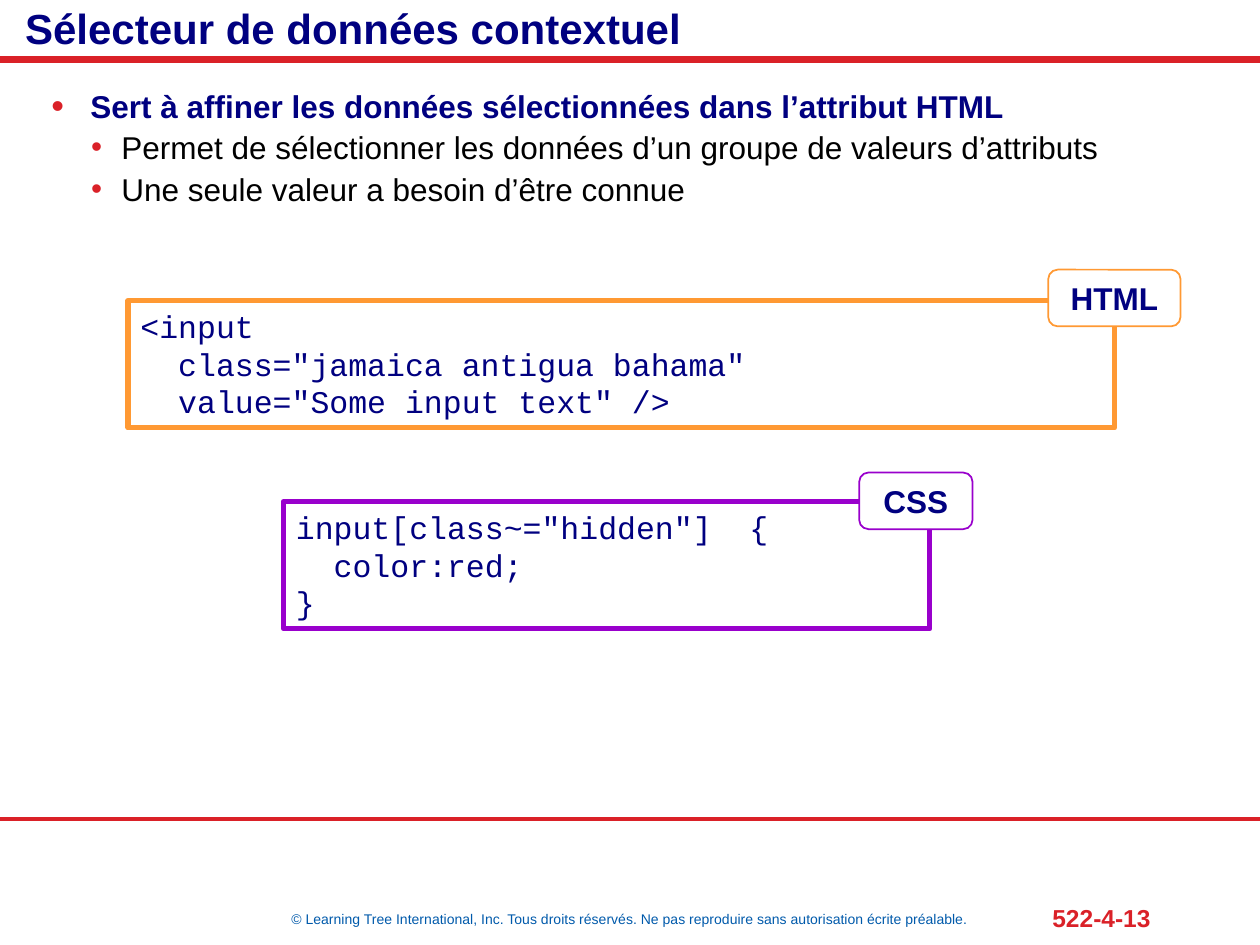
"""Build the slide about the contextual data selector."""
from lxml import etree
from pptx import Presentation
from pptx import util as u
from pptx.dml.color import RGBColor
from pptx.enum import shapes, text
from pptx.oxml import ns

RED = RGBColor(0xDA, 0x21, 0x28)
NAVY = RGBColor(0x00, 0x00, 0x80)
BLUE = RGBColor(0x00, 0x5A, 0xAB)
BLACK = RGBColor(0x00, 0x00, 0x00)
WHITE = RGBColor(0xFF, 0xFF, 0xFF)
PURPLE = RGBColor(0x99, 0x00, 0xCC)
ORANGE = RGBColor(0xFF, 0x99, 0x33)

Pt = u.Pt
LEFT, CENTER, RIGHT = text.PP_ALIGN.LEFT, text.PP_ALIGN.CENTER, text.PP_ALIGN.RIGHT
TOP, MIDDLE = text.MSO_ANCHOR.TOP, text.MSO_ANCHOR.MIDDLE

presentation = Presentation()
presentation.slide_width = Pt(720)
presentation.slide_height = Pt(540)
slide = presentation.slides.add_slide(presentation.slide_layouts[6])


def write(shape, content, size, color, bold=False, font="Arial", align=LEFT, anchor=TOP):
    frame = shape.text_frame
    frame.text = content
    frame.word_wrap = True
    frame.vertical_anchor = anchor
    for paragraph in frame.paragraphs:
        paragraph.alignment = align
        for run in paragraph.runs:
            run.font.name = font
            run.font.size = Pt(size)
            run.font.bold = bold
            run.font.color.rgb = color
    return frame


def add_box(kind, left, top, width, height, color, weight):
    shape = slide.shapes.add_shape(kind, Pt(left), Pt(top), Pt(width), Pt(height))
    shape.shadow.inherit = False
    shape.fill.solid()
    shape.fill.fore_color.rgb = WHITE
    shape.line.color.rgb = color
    shape.line.width = Pt(weight)
    return shape


for y, weight in ((33.84, 4), (468, 2)):
    rule = slide.shapes.add_connector(shapes.MSO_CONNECTOR.STRAIGHT, 0, Pt(y), Pt(720), Pt(y))
    rule.line.color.rgb = RED
    rule.line.width = Pt(weight)
    etree.SubElement(rule._element.spPr, ns.qn("a:effectLst"))

page_number = slide.shapes.add_textbox(Pt(565.2), Pt(512), Pt(99.4), Pt(24.5))
write(page_number, "522-4-13", 14, RED, True, align=RIGHT, anchor=MIDDLE).margin_left = 0

copyright_line = slide.shapes.add_textbox(0, Pt(517), Pt(720), Pt(16.6))
write(
    copyright_line,
    "© Learning Tree International, Inc. Tous droits réservés. "
    "Ne pas reproduire sans autorisation écrite préalable.",
    8, BLUE, align=CENTER,
)

title = slide.shapes.add_textbox(0, 0, Pt(720), Pt(31.7))
title_frame = write(title, "Sélecteur de données contextuel", 24, NAVY, True, anchor=MIDDLE)
title_frame.margin_left = Pt(14.4)
title_frame.margin_top = title_frame.margin_bottom = 0

body = slide.shapes.add_textbox(Pt(22.3), Pt(46.1), Pt(676.8), Pt(339))
points = [
    "Sert à affiner les données sélectionnées dans l’attribut HTML",
    "Permet de sélectionner les données d’un groupe de valeurs d’attributs",
    "Une seule valeur a besoin d’être connue",
]
body_frame = write(body, "\n".join(points), 18, BLACK)
for index, paragraph in enumerate(body_frame.paragraphs):
    margin, indent, scale = (40, -17.3, 100) if index else (22.3, -22.3, 115)
    properties = paragraph._p.get_or_add_pPr()
    properties.set("marL", str(Pt(margin)))
    properties.set("indent", str(Pt(indent)))
    bullet_color = etree.SubElement(properties, ns.qn("a:buClr"))
    etree.SubElement(bullet_color, ns.qn("a:srgbClr"), val=str(RED))
    etree.SubElement(properties, ns.qn("a:buSzPct"), val=str(scale * 1000))
    etree.SubElement(properties, ns.qn("a:buFont"), typeface="Arial")
    etree.SubElement(properties, ns.qn("a:buChar"), char="•")
    if index:
        paragraph.level = 1
        paragraph.space_before = Pt(2)
    else:
        paragraph.runs[0].font.bold = True
        paragraph.runs[0].font.color.rgb = NAVY

css_code = 'input[class~="hidden"]  {\n  color:red;\n}'
html_code = '<input\n  class="jamaica antigua bahama"\n  value="Some input text" />'
examples = [
    ("CSS", css_code, PURPLE, (162, 286.6, 369.4), (491, 270, 64.8)),
    ("HTML", html_code, ORANGE, (73.2, 171.8, 563.8), (599, 154.1, 75.6)),
]
for name, code, color, code_place, label_place in examples:
    code_box = add_box(shapes.MSO_SHAPE.RECTANGLE, *code_place, 72.7, color, 3)
    write(code_box, code, 18, NAVY, font="Courier New")
    label = add_box(shapes.MSO_SHAPE.ROUNDED_RECTANGLE, *label_place, 32.4, color, 1)
    write(label, name, 18, NAVY, True, align=CENTER, anchor=MIDDLE)

presentation.save("out.pptx")
